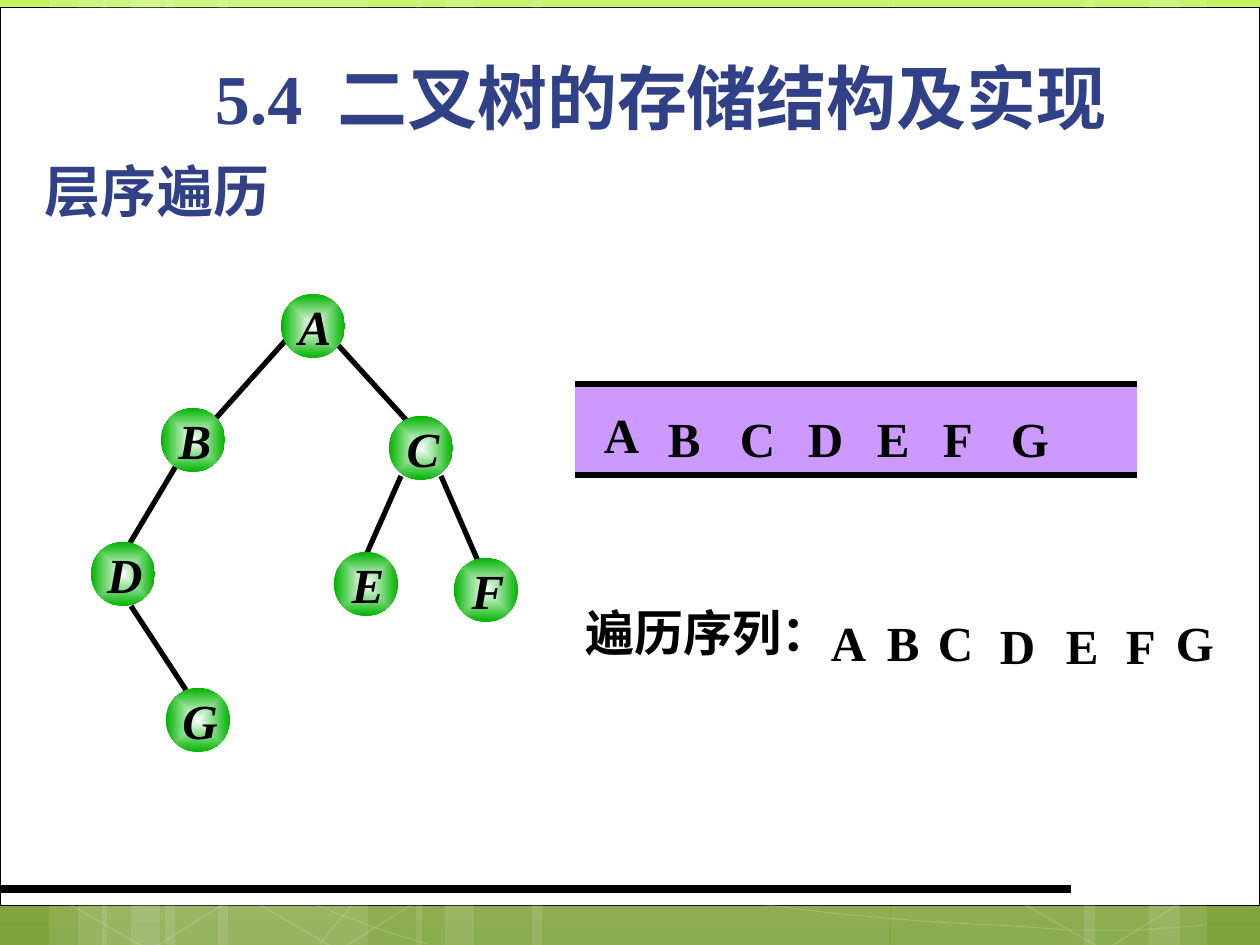
from lxml.etree import SubElement
from pptx import Presentation
from pptx.dml.color import RGBColor
from pptx.enum.shapes import MSO_CONNECTOR as CONN, MSO_SHAPE as SHAPE
from pptx.enum.text import MSO_ANCHOR as ANCHOR, PP_ALIGN as ALIGN
from pptx.oxml.ns import qn
from pptx.util import Emu, Pt

PX = 914400 / 126
W, H = 1260, 945
LATIN, CJK = "Times New Roman", "Noto Sans CJK SC"
C = {"sky": "C2F35F", "grass": "80A33D", "white": "FFFFFF", "black": "000000",
     "title": "314187", "node": "00B400", "queue": "CC99FF"}


def px(*lengths):
    """Turn pixel lengths into EMU."""
    return [Emu(round(v * PX)) for v in lengths]


def rgb(name):
    """Look up a palette colour."""
    return RGBColor.from_string(C[name])


def fade(sp, percent):
    """Make every solid colour of a shape translucent."""
    for clr in sp.element.spPr.iter(qn("a:srgbClr")):
        SubElement(clr, qn("a:alpha"), val=str(percent * 1000))


def style(sp, fill=None, line=None, width=1):
    """Set fill and line, and drop the shadow."""
    sp.shadow.inherit = False
    if fill:
        sp.fill.solid()
        sp.fill.fore_color.rgb = rgb(fill)
    else:
        sp.fill.background()
    if line:
        sp.line.color.rgb = rgb(line)
        sp.line.width = Pt(width)
    else:
        sp.line.fill.background()
    return sp


def shape(s, kind, box, **look):
    """Add a styled preset shape."""
    return style(s.shapes.add_shape(kind, *px(*box)), **look)


def line(s, start, end, width=3):
    """Add a black straight line."""
    cn = s.shapes.add_connector(CONN.STRAIGHT, *px(*start, *end))
    cn.line.color.rgb = rgb("black")
    cn.line.width = Pt(width)
    SubElement(cn.element.spPr, qn("a:effectLst"))


def text(sp, content, size=28, color="black", font=LATIN, italic=False,
         align=ALIGN.LEFT, inset=(13, 6, 13, 6), wrap=True, gap=0):
    """Write one bold paragraph, widening its first space by gap points."""
    tf = sp.text_frame
    tf.word_wrap = wrap
    tf.vertical_anchor = ANCHOR.MIDDLE
    tf.margin_left, tf.margin_top, tf.margin_right, tf.margin_bottom = px(*inset)
    p = tf.paragraphs[0]
    p.alignment = align
    for part in content.partition(" ") if gap else [content]:
        r = p.add_run()
        r.text = part
        r.font.size = Pt(size)
        r.font.bold = True
        r.font.italic = italic
        r.font.color.rgb = rgb(color)
        r.font.name = font
        SubElement(r.font._element, qn("a:ea"), typeface=CJK)
        if part == " ":
            r.font._element.set("spc", str(gap * 100))


def label(s, box, content, **fmt):
    """Add a text box."""
    text(s.shapes.add_textbox(*px(*box)), content, **fmt)


def bezier(points, steps=12):
    """Sample a chain of cubic curves."""
    for i in range(0, len(points) - 1, 3):
        for n in range(steps + 1):
            t = n / steps
            weights = (1 - t) ** 3, 3 * t * (1 - t) ** 2, 3 * t * t * (1 - t), t ** 3
            yield tuple(sum(w * pt[axis] for w, pt in zip(weights, points[i:i + 4]))
                        for axis in (0, 1))


def backdrop(s):
    """Draw the gradient, the white panel, the bands and the faint outlines."""
    fill = s.background.fill
    fill.gradient()
    fill.gradient_angle = 270
    for stop, position, name in zip(fill.gradient_stops, (0, 1), ("sky", "grass")):
        stop.position = position
        stop.color.rgb = rgb(name)
    shape(s, SHAPE.RECTANGLE, (0, 7, W, 898), fill="white", line="black", width=0.5)
    bands = [(165, 203), (49, 58), (78, 97), (218, 204), (102, 58), (131, 97),
             (891, 204), (1149, 58), (1084, 96), (532, 358), (416, 58), (445, 97)]
    for left, width in bands:
        fade(shape(s, SHAPE.RECTANGLE, (left, 0, width, H), fill="white"), 10)
    curves = [
        [(45, 777), (185, 847), (325, 916), (427, 944)],
        [(452, 848), (549, 869), (672, 892), (767, 905), (863, 919), (966, 924),
         (1028, 927), (1089, 932), (1105, 930), (1135, 930), (1164, 929),
         (1186, 926), (1207, 925)],
        [(320, 944), (340, 919), (360, 893), (389, 871)],
    ]
    for curve in curves:
        first, *rest = bezier(curve)
        builder = s.shapes.build_freeform(*first, scale=PX)
        builder.add_line_segments(rest, close=False)
        fade(style(builder.convert_to_shape(), line="white", width=0.5), 20)
    for left in (52, 241, 1007):
        sp = shape(s, SHAPE.HEXAGON, (left, 746, 203, 192), line="white")
        sp.adjustments[0] = 0.263
        sp.rotation = 30
        fade(sp, 12)
    line(s, (0, 889), (1071, 889), width=4.5)


def heading(s, box):
    """Place the title above the backdrop."""
    sp = s.shapes.title
    sp.element.getparent().append(sp.element)
    sp.left, sp.top, sp.width, sp.height = px(*box)
    text(sp, "5.4 二叉树的存储结构及实现", size=40, color="title",
         align=ALIGN.JUSTIFY, gap=10)


def node(s, box, name):
    """Draw one glowing tree node."""
    sp = shape(s, SHAPE.OVAL, box)
    sp.fill.gradient()
    for stop, position, color in zip(sp.fill.gradient_stops, (0, 1), ("white", "node")):
        stop.position = position
        stop.color.rgb = rgb(color)
    grad = sp.element.spPr.find(qn("a:gradFill"))
    grad.remove(grad.find(qn("a:lin")))
    glow = SubElement(grad, qn("a:path"), {"path": "rect"})
    SubElement(glow, qn("a:fillToRect"), dict.fromkeys("ltrb", "50000"))
    text(sp, name, italic=True, align=ALIGN.CENTER, inset=(4, 0, 0, 0), wrap=False)


def tree(s, left, top, size=64):
    """Draw the binary tree from its top left corner."""
    edges = [(195, 46, 125, 124), (247, 51, 317, 128), (85, 172, 39, 249),
             (40, 312, 95, 396), (310, 182, 276, 259), (350, 182, 387, 267)]
    nodes = {"A": (190, 0), "B": (70, 114), "C": (298, 122), "D": (0, 248),
             "E": (243, 258), "F": (363, 264), "G": (75, 394)}
    for x1, y1, x2, y2 in edges:
        line(s, (left + x1, top + y1), (left + x2, top + y2))
    for name, (x, y) in nodes.items():
        node(s, (left + x, top + y, size, size), name)


def letters(s, left, top, offsets):
    """Place A to G at the given offsets."""
    for name, (x, y) in zip("ABCDEFG", offsets):
        label(s, (left + x, top + y, 66, 72), name, inset=(13, 15, 13, 6))


def queue(s, left, top, width, height):
    """Draw the queue between its two rails."""
    shape(s, SHAPE.RECTANGLE, (left, top + 3, width, height - 3), fill="queue")
    for y in (top, top + height):
        line(s, (left, y), (left + width, y))
    letters(s, left, top, [(16, 9), (80, 13), (152, 13), (220, 13), (289, 13),
                           (355, 13), (423, 13)])


def sequence(s, left, top):
    """Write the visiting order."""
    label(s, (left, top, 622, 72), "遍历序列：")
    letters(s, left, top, [(245, 5), (301, 5), (352, 5), (414, 8), (480, 8),
                           (540, 8), (590, 5)])


def main():
    """Build and save the slide."""
    prs = Presentation()
    prs.slide_width, prs.slide_height = px(W, H)
    s = prs.slides.add_slide(prs.slide_layouts[5])
    backdrop(s)
    label(s, (32, 150, 735, 81), "层序遍历", size=32, color="title", font=CJK)
    heading(s, (202, 48, 971, 97))
    tree(s, 91, 294)
    queue(s, 575, 384, 562, 91)
    sequence(s, 573, 596)
    prs.save("out.pptx")


if __name__ == "__main__":
    main()
